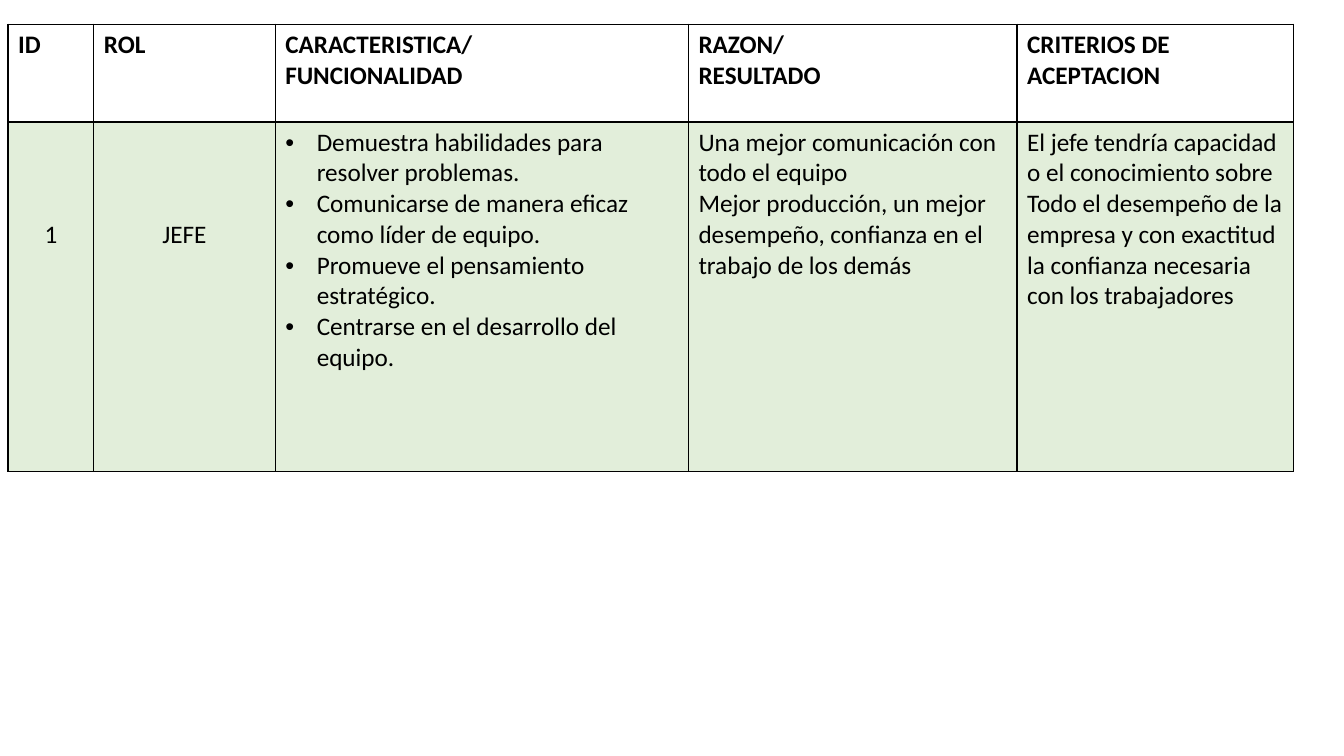
from lxml import etree
from pptx import Presentation
from pptx.dml.color import RGBColor
from pptx.enum.text import PP_ALIGN
from pptx.oxml.ns import qn
from pptx.util import Pt

CENTER = PP_ALIGN.CENTER
LEFT = PP_ALIGN.LEFT
BLACK = RGBColor(0x00, 0x00, 0x00)
GREEN = RGBColor(0x70, 0xAD, 0x47)
FONT = "Calibri"
FONT_SIZE = 18
BULLET_INDENT = 22.5
CENTERED_TOP = 69.6

COLUMN_WIDTHS = [61.2, 129.6, 295.2, 234.72, 197.28]
ROW_HEIGHTS = [69.84, 249.84]

HEADERS = [
    ["ID"],
    ["ROL"],
    ["CARACTERISTICA/", "FUNCIONALIDAD"],
    ["RAZON/", "RESULTADO"],
    ["CRITERIOS DE ACEPTACION"],
]
STORY = [
    ["1"],
    ["JEFE"],
    [
        "Demuestra habilidades para resolver problemas.",
        "Comunicarse de manera eficaz como líder de equipo.",
        "Promueve el pensamiento estratégico.",
        "Centrarse en el desarrollo del equipo.",
    ],
    [
        "Una mejor comunicación con todo el equipo",
        "Mejor producción, un mejor desempeño, confianza en el trabajo de los demás",
    ],
    [
        "El jefe tendría capacidad o el conocimiento sobre",
        "Todo el desempeño de la empresa y con exactitud la confianza necesaria con los trabajadores",
    ],
]
CENTERED_COLUMNS = (0, 1)
BULLET_COLUMN = 2


def add_bullet(p):
    pPr = p._p.get_or_add_pPr()
    pPr.set("marL", str(Pt(BULLET_INDENT)))
    pPr.set("indent", str(-Pt(BULLET_INDENT)))
    etree.SubElement(pPr, qn("a:buFont"), typeface="Arial")
    etree.SubElement(pPr, qn("a:buChar"), char="•")


def write_cell(cell, lines, bold=False, align=LEFT, bullets=False):
    tf = cell.text_frame
    for i, line in enumerate(lines):
        p = tf.paragraphs[0] if i == 0 else tf.add_paragraph()
        p.alignment = align
        if bullets:
            add_bullet(p)
        r = p.add_run()
        r.text = line
        r.font.name = FONT
        r.font.size = Pt(FONT_SIZE)
        r.font.bold = bold
        r.font.color.rgb = BLACK


def set_borders(cell):
    tcPr = cell._tc.get_or_add_tcPr()
    for side in ("a:lnL", "a:lnR", "a:lnT", "a:lnB"):
        ln = etree.SubElement(tcPr, qn(side), w=str(Pt(1)))
        fill = etree.SubElement(ln, qn("a:solidFill"))
        etree.SubElement(fill, qn("a:srgbClr"), val=str(BLACK))


def fill_green(cell):
    cell.fill.solid()
    cell.fill.fore_color.rgb = GREEN
    color = cell._tc.tcPr.find(qn("a:solidFill")).find(qn("a:srgbClr"))
    etree.SubElement(color, qn("a:alpha"), val="20000")


def add_story_table(slide):
    frame = slide.shapes.add_table(
        len(ROW_HEIGHTS), len(COLUMN_WIDTHS),
        Pt(5.76), Pt(17.28), Pt(sum(COLUMN_WIDTHS)), Pt(sum(ROW_HEIGHTS)),
    )
    table = frame.table
    table.first_row = False
    table.horz_banding = False
    for column, width in zip(table.columns, COLUMN_WIDTHS):
        column.width = Pt(width)
    for row, height in zip(table.rows, ROW_HEIGHTS):
        row.height = Pt(height)
    for cell in table.iter_cells():
        set_borders(cell)
    for col, (header, lines) in enumerate(zip(HEADERS, STORY)):
        head, body = table.cell(0, col), table.cell(1, col)
        head.fill.background()
        write_cell(head, header, bold=True)
        fill_green(body)
        centered = col in CENTERED_COLUMNS
        if centered:
            body.margin_top = Pt(CENTERED_TOP)
        write_cell(body, lines, align=CENTER if centered else LEFT,
                   bullets=col == BULLET_COLUMN)


def main():
    prs = Presentation()
    prs.slide_width = Pt(960)
    prs.slide_height = Pt(540)
    slide = prs.slides.add_slide(prs.slide_layouts[6])
    add_story_table(slide)
    prs.save("out.pptx")


if __name__ == "__main__":
    main()
